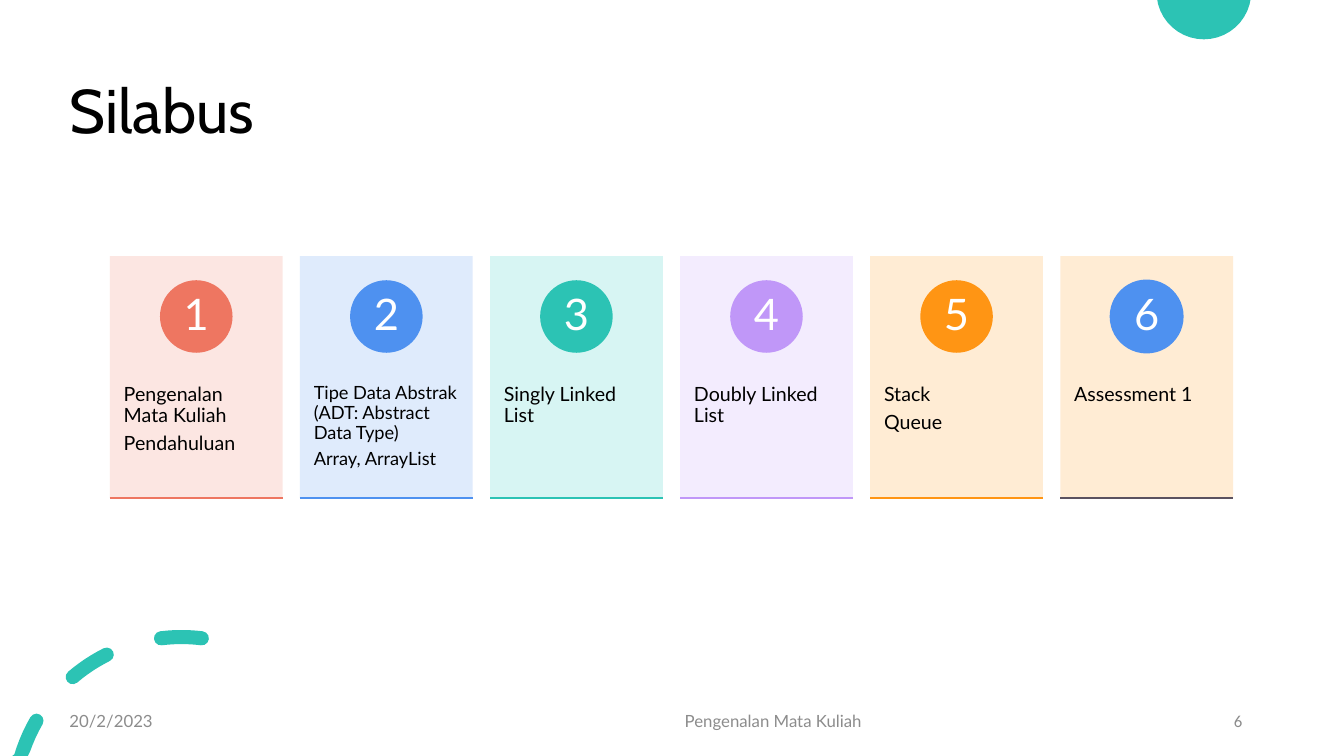
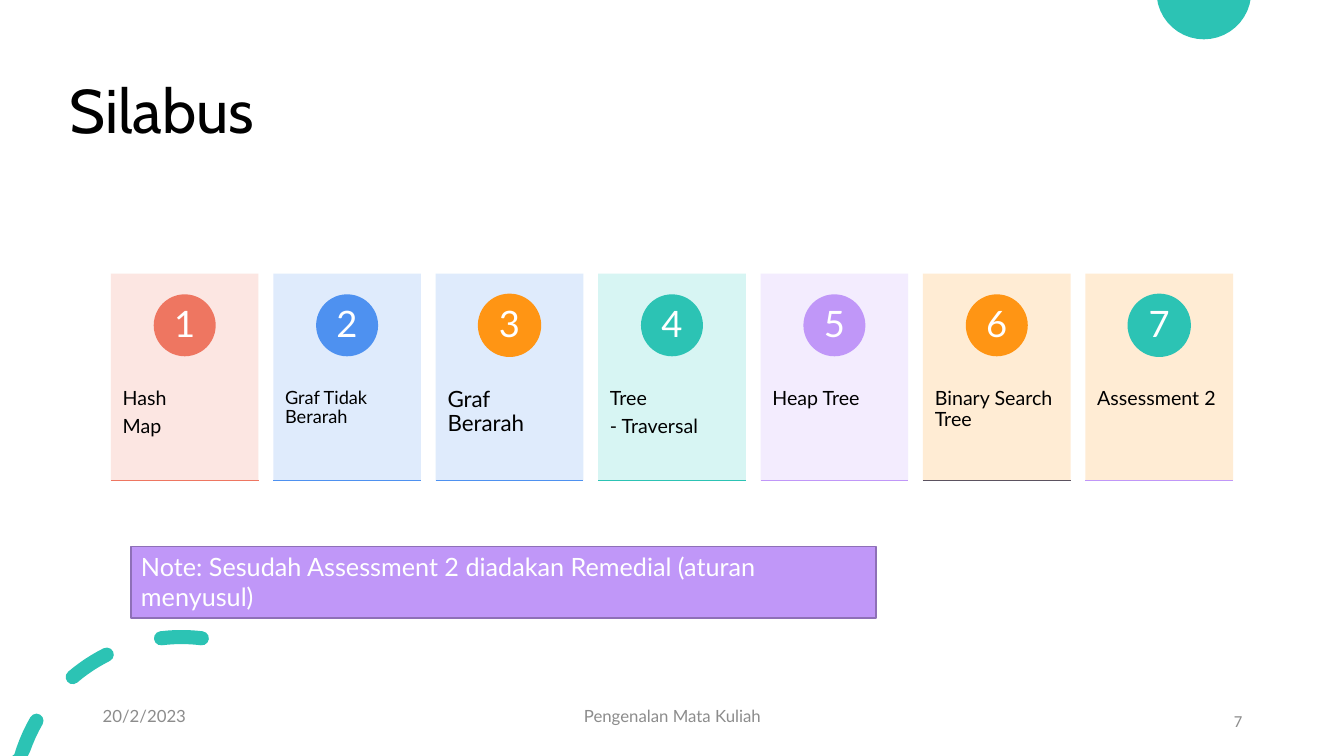
from math import cos, radians, sin

from lxml.etree import SubElement
from pptx import Presentation
from pptx.dml.color import RGBColor
from pptx.enum.shapes import MSO_CONNECTOR, MSO_SHAPE
from pptx.enum.text import MSO_ANCHOR, MSO_AUTO_SIZE, PP_ALIGN
from pptx.oxml.ns import qn
from pptx.util import Inches, Pt

# Shared look
WIDE, HIGH = 13.33, 7.5
HEX = {
    "black": "000000", "white": "FFFFFF", "grey": "8C8C8C",
    "coral": "EE7661", "blue": "4E91F0", "teal": "2CC3B4",
    "lilac": "C097F8", "orange": "FF9514", "slate": "5B5260", "plum": "8E70B7",
    "rose": "FCE4DF", "sky": "DCE9FC", "mint": "D3F5F2",
    "haze": "F2EAFE", "cream": "FFEAD0",
}
HEAD, BODY = "Cabin", "Lato"
TITLE = "Silabus"
DATE, FOOT = "20/2/2023", "Pengenalan Mata Kuliah"

# Content: lines, text size, panel, disc, rule; rims lists outlined discs
DECK = [
    {
        "page": "6", "date": (0.59, 6.95), "foot": (5.42, 6.95),
        "left": 1.09, "rims": (6,),
        "cards": [
            (["Pengenalan Mata Kuliah", "Pendahuluan"], 14, "rose", "coral", "coral"),
            (["Tipe Data Abstrak (ADT: Abstract Data Type)", "Array, ArrayList"],
             13, "sky", "blue", "blue"),
            (["Singly Linked List"], 14, "mint", "teal", "teal"),
            (["Doubly Linked List"], 14, "haze", "lilac", "lilac"),
            (["Stack", "Queue"], 14, "cream", "orange", "orange"),
            (["Assessment 1"], 14, "cream", "blue", "slate"),
        ],
    },
    {
        "page": "7", "date": (0.92, 6.9), "foot": (4.42, 6.9),
        "left": 1.1, "rims": (3, 7),
        "cards": [
            (["Hash", "Map"], 14, "rose", "coral", "coral"),
            (["Graf Tidak Berarah"], 13, "sky", "blue", "blue"),
            (["Graf Berarah"], 16, "sky", "orange", "blue"),
            (["Tree", "- Traversal"], 14, "mint", "teal", "teal"),
            (["Heap Tree"], 14, "haze", "lilac", "lilac"),
            (["Binary Search Tree"], 14, "cream", "orange", "slate"),
            (["Assessment 2"], 14, "cream", "teal", "lilac"),
        ],
        "note": "Note: Sesudah Assessment 2 diadakan Remedial (aturan menyusul)",
    },
]


def rgb(name):
    return RGBColor.from_string(HEX[name])


def box(*sides):
    return [Inches(side) for side in sides]


def paint(shape, fill, line=None):
    shape.shadow.inherit = False
    shape.fill.solid()
    shape.fill.fore_color.rgb = rgb(fill)
    if line:
        shape.line.color.rgb = rgb(line)
        shape.line.width = Pt(1)
    else:
        shape.line.fill.background()


def write(shape, lines, size, color, font=BODY, align=PP_ALIGN.LEFT,
          anchor=MSO_ANCHOR.MIDDLE, pad=(0.1, 0.05), lead=None, after=0):
    frame = shape.text_frame
    frame.auto_size = MSO_AUTO_SIZE.NONE
    frame.word_wrap = True
    frame.vertical_anchor = anchor
    frame.margin_left = frame.margin_right = Inches(pad[0])
    frame.margin_top = frame.margin_bottom = Inches(pad[1])
    frame.text = "\n".join(lines)
    for para in frame.paragraphs:
        para.alignment = align
        para.line_spacing = lead
        para.space_after = Pt(after)
        for run in para.runs:
            run.font.size = Pt(size)
            run.font.name = font
            run.font.color.rgb = rgb(color)


# Corner art for the layout
def arc(mid, rad, start, end, steps=6):
    """Points on a circle; angles in degrees, clockwise from the top."""
    turns = [radians(start + (end - start) * i / steps) for i in range(steps + 1)]
    return [(mid[0] + rad * sin(t), mid[1] - rad * cos(t)) for t in turns]


def dash(mid, rad, start, end, half):
    """Outline of a bent bar with round ends, cut at the slide's foot."""
    tail, tip = (arc(mid, rad, a, a, 1)[0] for a in (start, end))
    ring = (arc(mid, rad + half, start, end)
            + arc(tip, half, end, end + 180)[1:]
            + arc(mid, rad - half, end, start)[1:]
            + arc(tail, half, start + 180, start + 360)[1:-1])
    return [(x, min(y, HIGH)) for x, y in ring]


def blob(slide, layout, rings):
    pen = None
    for ring in rings:
        first, *rest = [box(*spot) for spot in ring]
        if pen:
            pen.move_to(*first)
        else:
            pen = slide.shapes.build_freeform(*first)
        pen.add_line_segments(rest, close=True)
    shape = pen.convert_to_shape()
    paint(shape, "teal")
    layout.shapes.element.append(shape.element)


def adorn(slide, layout):
    blob(slide, layout, [arc((11.94, -0.08), 0.47, 80.2, 279.8, 24)])
    bends = ((-76, -60), (-40.5, -26.5), (-7, 7))
    blob(slide, layout, [dash((1.8, 7.98), 1.66, *bend, 0.07) for bend in bends])


# Row of numbered cards
def row(slide, cards, left, rims, right=12.23, mid=3.74):
    count = len(cards)
    wide = (right - left) / (count + 0.1 * (count - 1))
    high = 1.4 * wide
    top = mid - high / 2
    size = 0.3 * high
    add = slide.shapes.add_shape
    for i, (lines, points, panel, disc, rule) in enumerate(cards):
        x = left + 1.1 * wide * i
        card = add(MSO_SHAPE.RECTANGLE, *box(x, top, wide, high))
        paint(card, panel)
        tint = card.element.spPr.find(qn("a:solidFill"))[0]
        SubElement(tint, qn("a:alpha"), val="90000")

        text = slide.shapes.add_textbox(
            *box(x, top + 0.38 * high, wide, 0.6 * high))
        write(text, lines, points, "black", anchor=MSO_ANCHOR.TOP,
              pad=(0.08 * wide, 0.36), lead=0.9, after=0.35 * points)

        ball = add(MSO_SHAPE.OVAL, *box(
            x + (wide - size) / 2, top + 0.1 * high, size, size))
        paint(ball, disc, disc if i + 1 in rims else None)
        write(ball, [str(i + 1)], round(18 * wide), "white",
              align=PP_ALIGN.CENTER, pad=(0, 0), lead=0.9)

        base = slide.shapes.add_connector(
            MSO_CONNECTOR.STRAIGHT, *box(x, top + high, x + wide, top + high))
        base.line.color.rgb = rgb(rule)
        base.line.width = Pt(1)
        SubElement(base.element.spPr, qn("a:effectLst"))


def footer(slide, data):
    parts = [
        (DATE, data["date"], 1.69, BODY, PP_ALIGN.LEFT),
        (FOOT, data["foot"], 4.5, BODY, PP_ALIGN.CENTER),
        (data["page"], (9.42, 6.95), 3, "Calibri", PP_ALIGN.RIGHT),
    ]
    for text, spot, wide, font, align in parts:
        label = slide.shapes.add_textbox(*box(*spot, wide, 0.4))
        write(label, [text], 12, "grey", font, align)


def main():
    deck = Presentation()
    deck.slide_width, deck.slide_height = box(WIDE, HIGH)
    layout = deck.slide_layouts[5]
    head = layout.placeholders[0]
    head.left, head.top, head.width, head.height = box(0.59, 0.4, 11.5, 1.45)

    for i, data in enumerate(DECK):
        slide = deck.slides.add_slide(layout)
        if i == 0:
            adorn(slide, layout)
        write(slide.shapes.title, [TITLE], 44, "black", HEAD, lead=0.9)
        row(slide, data["cards"], data["left"], data["rims"])
        footer(slide, data)
        if "note" in data:
            note = slide.shapes.add_shape(
                MSO_SHAPE.RECTANGLE, *box(1.3, 5.42, 7.39, 0.71))
            paint(note, "lilac", "plum")
            write(note, [data["note"]], 18, "white", anchor=MSO_ANCHOR.TOP)

    deck.save("out.pptx")


if __name__ == "__main__":
    main()
